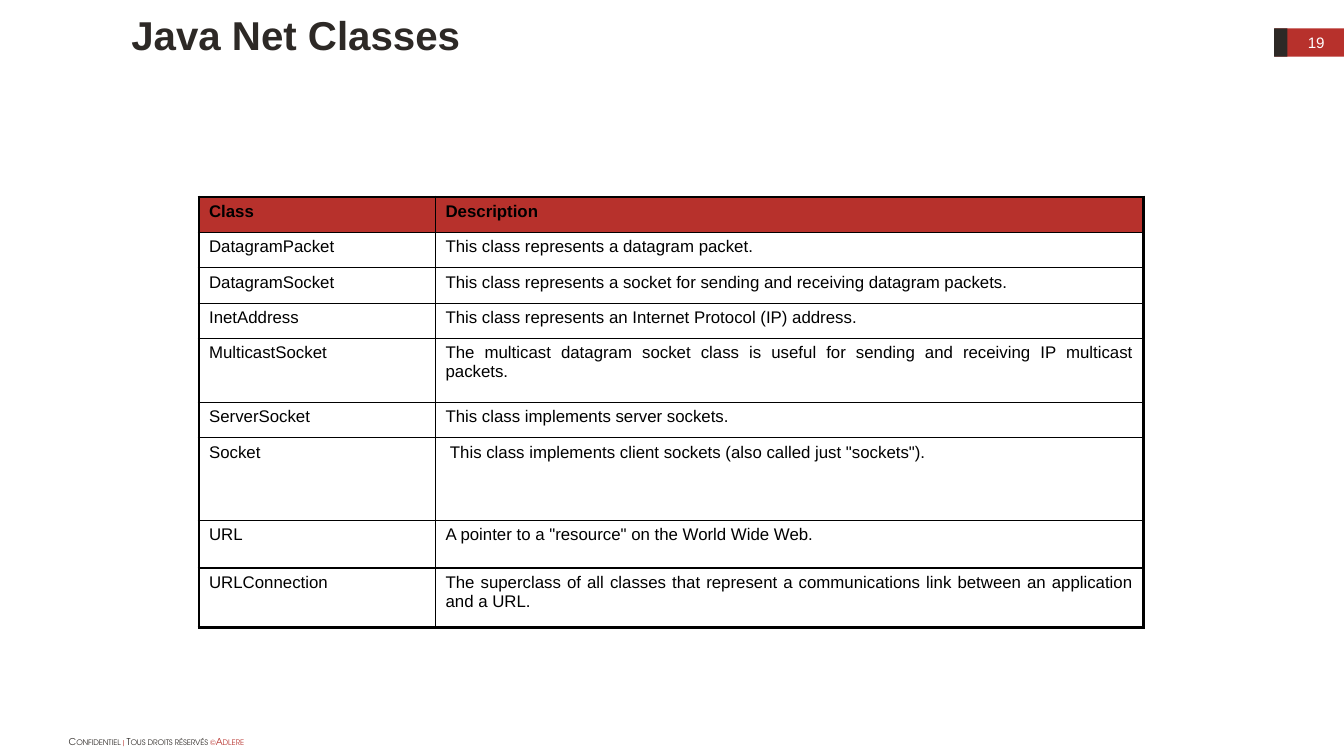
import dataclasses

import pptx
import pptx.dml.color
import pptx.enum.shapes
import pptx.enum.text
import pptx.oxml
import pptx.oxml.ns
import pptx.util

Pt = pptx.util.Pt
RGBColor = pptx.dml.color.RGBColor
Align = pptx.enum.text.PP_ALIGN
Anchor = pptx.enum.text.MSO_ANCHOR

RED = RGBColor(0xB7, 0x31, 0x2C)
CHARCOAL = RGBColor(0x2D, 0x29, 0x26)
BLACK = RGBColor(0, 0, 0)
WHITE = RGBColor(0xFF, 0xFF, 0xFF)

OUTER_LINE, INNER_LINE = 2.25, 1
COLUMN_WIDTHS = (168.5, 504.7)


@dataclasses.dataclass(frozen=True)
class Box:
    left: float
    top: float
    width: float
    height: float

    def lengths(self) -> list[int]:
        return [Pt(v) for v in (self.left, self.top, self.width, self.height)]


@dataclasses.dataclass(frozen=True)
class Band:
    box: Box
    color: RGBColor


@dataclasses.dataclass(frozen=True)
class ClassRow:
    name: str
    description: str
    height: float = 25.2


BANDS = (
    Band(Box(907.9, 20.2, 49.7, 20.2), RED),
    Band(Box(907.9, 20.2, 9.4, 20.2), CHARCOAL),
)

CLASS_ROWS = (
    ClassRow("Class", "Description"),
    ClassRow("DatagramPacket", "This class represents a datagram packet."),
    ClassRow("DatagramSocket", "This class represents a socket for sending and receiving datagram packets."),
    ClassRow("InetAddress", "This class represents an Internet Protocol (IP) address."),
    ClassRow("MulticastSocket",
             "The multicast datagram socket class is useful for sending and receiving IP multicast packets.", 45.4),
    ClassRow("ServerSocket", "This class implements server sockets."),
    ClassRow("Socket", ' This class implements client sockets (also called just "sockets").', 59),
    ClassRow("URL", 'A pointer to a "resource" on the World Wide Web.', 33.8),
    ClassRow("URLConnection",
             "The superclass of all classes that represent a communications link between an application and a URL.",
             42.5),
)

FOOTER_PARTS = (
    ("Confidentiel ", CHARCOAL),
    ("| ", RED),
    ("Tous droits réservés ", CHARCOAL),
    ("©Adlere", RED),
)


def add_run(paragraph, text: str, color: RGBColor, **formats):
    run = paragraph.add_run()
    run.text = text
    for key, value in ({"name": "Arial"} | formats).items():
        setattr(run.font, key, value)
    run.font.color.rgb = color
    return run


def draw_band(slide, band: Band) -> None:
    bar = slide.shapes.add_shape(pptx.enum.shapes.MSO_SHAPE.RECTANGLE, *band.box.lengths())
    bar.shadow.inherit = False
    bar.fill.solid()
    bar.fill.fore_color.rgb = band.color
    bar.line.fill.background()


def add_label(slide, box: Box, anchor: Anchor, align: Align):
    frame = slide.shapes.add_textbox(*box.lengths()).text_frame
    frame.word_wrap = True
    frame.vertical_anchor = anchor
    frame.paragraphs[0].alignment = align
    return frame.paragraphs[0]


def border_cell(cell, widths: dict[str, float]) -> None:
    properties = cell._tc.get_or_add_tcPr()
    for side, width in widths.items():
        properties.append(pptx.oxml.parse_xml(
            f'<a:ln{side} {pptx.oxml.ns.nsdecls("a")} w="{int(Pt(width))}"><a:solidFill>'
            f'<a:srgbClr val="{BLACK}"/></a:solidFill></a:ln{side}>'))


def draw_class_table(slide, rows: tuple[ClassRow, ...]) -> None:
    box = Box(141.8, 140.4, sum(COLUMN_WIDTHS), sum(row.height for row in rows))
    table = slide.shapes.add_table(len(rows), len(COLUMN_WIDTHS), *box.lengths()).table
    for column, width in zip(table.columns, COLUMN_WIDTHS):
        column.width = Pt(width)
    last_row, last_column = len(rows) - 1, len(COLUMN_WIDTHS) - 1
    for r, row in enumerate(rows):
        table.rows[r].height = Pt(row.height)
        header = r == 0
        for c, text in enumerate((row.name, row.description)):
            cell = table.cell(r, c)
            on_edge = {"L": c == 0, "R": c == last_column, "T": header, "B": r == last_row}
            border_cell(cell, {side: OUTER_LINE if edge else INNER_LINE for side, edge in on_edge.items()})
            if header:
                cell.fill.solid()
                cell.fill.fore_color.rgb = RED
            else:
                cell.fill.background()
            paragraph = cell.text_frame.paragraphs[0]
            paragraph.alignment = Align.LEFT if header else Align.JUSTIFY
            add_run(paragraph, text, BLACK, size=Pt(12), bold=header)


def main() -> None:
    deck = pptx.Presentation()
    deck.slide_width, deck.slide_height = Pt(957.6), Pt(538.56)
    slide = deck.slides.add_slide(deck.slide_layouts[5])

    # Footer
    footer = add_label(slide, Box(41.8, 520.6, 226.8, 15.1), Anchor.TOP, Align.LEFT)
    for text, color in FOOTER_PARTS:
        run = add_run(footer, text, color, name="TeX Gyre Adventor", size=Pt(6.7))
        run.font._element.set("cap", "small")

    # Page marker
    for band in BANDS:
        draw_band(slide, band)
    page_number = add_label(slide, Box(918, 20.2, 39.6, 20.2), Anchor.MIDDLE, Align.CENTER)
    add_run(page_number, "19", WHITE, size=Pt(10.8))

    # Title
    title = slide.shapes.title
    title.left, title.top, title.width, title.height = Box(86.4, 11.5, 795.6, 33.8).lengths()
    title_formats = {"vertical_anchor": Anchor.BOTTOM, "word_wrap": True,
                     "auto_size": pptx.enum.text.MSO_AUTO_SIZE.NONE}
    for key, value in title_formats.items():
        setattr(title.text_frame, key, value)
    heading = title.text_frame.paragraphs[0]
    heading.alignment = Align.LEFT
    add_run(heading, "Java Net Classes", CHARCOAL, size=Pt(28.7), bold=True)

    # Class table
    draw_class_table(slide, CLASS_ROWS)

    deck.save("out.pptx")


if __name__ == "__main__":
    main()
